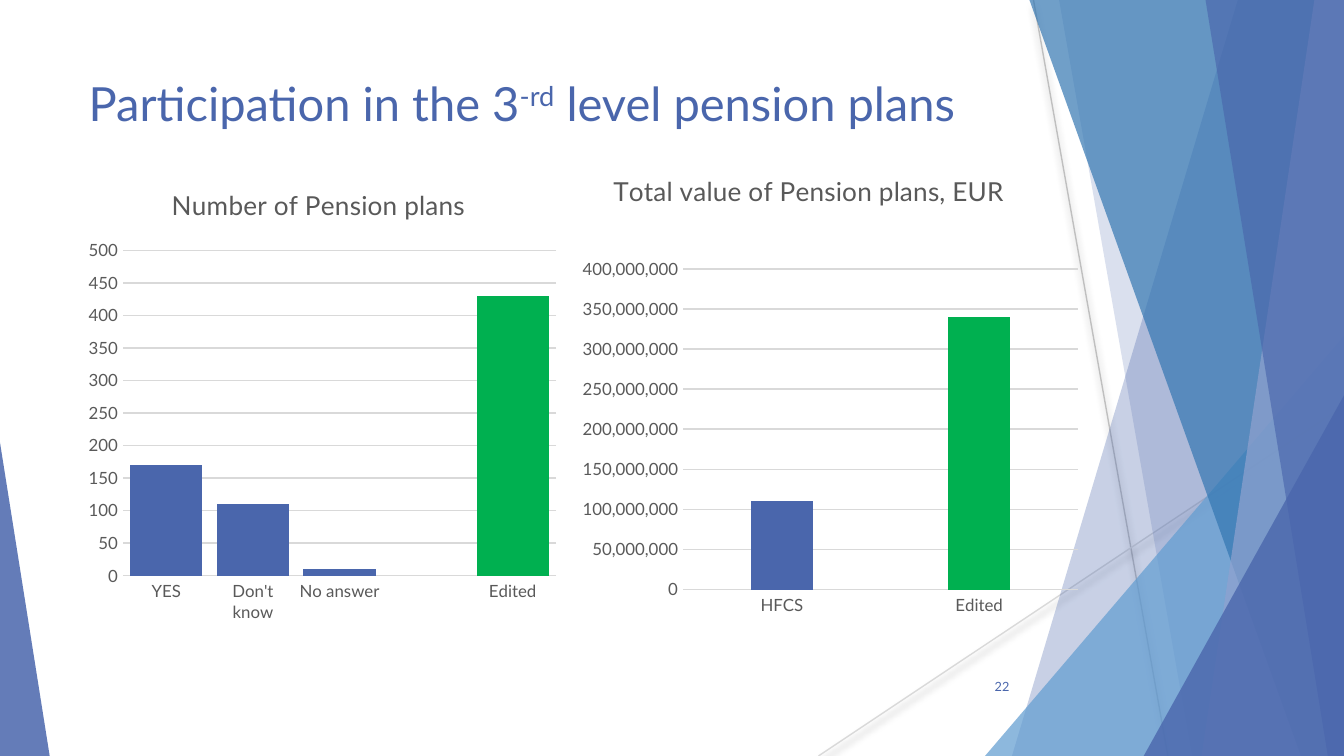
from lxml import etree
from pptx import Presentation
from pptx.chart.data import CategoryChartData
from pptx.dml.color import RGBColor
from pptx.enum.chart import XL_CHART_TYPE, XL_TICK_MARK
from pptx.enum.shapes import MSO_CONNECTOR, MSO_SHAPE
from pptx.enum.text import MSO_ANCHOR, MSO_AUTO_SIZE, PP_ALIGN
from pptx.oxml import parse_xml
from pptx.oxml.ns import nsdecls, qn
from pptx.util import Inches, Pt

COLUMN = XL_CHART_TYPE.COLUMN_CLUSTERED
NO_TICK = XL_TICK_MARK.NONE
STRAIGHT = MSO_CONNECTOR.STRAIGHT
ISOSCELES = MSO_SHAPE.ISOSCELES_TRIANGLE
TOP, MIDDLE = MSO_ANCHOR.TOP, MSO_ANCHOR.MIDDLE
LEFT, RIGHT = PP_ALIGN.LEFT, PP_ALIGN.RIGHT
NO_FIT = MSO_AUTO_SIZE.NONE

WIDTH = Inches(10)
HEIGHT = WIDTH * 9 // 16
TITLE_ONLY = 5
FONT = "Lato"
COLORS = {
    "indigo": "4A66AC", "sky": "629DD1", "blue": "3477B2", "mist": "90A2CF",
    "green": "00B050", "text": "595959", "grid": "D9D9D9", "silver": "BFBFBF",
}

RIBBONS_BACK = [(92.1, 75.3, "indigo", 30), (78.8, 88.7, "indigo", 20)]
RIBBONS_FRONT = [(76.6, 96.8, "blue", 70), (97.8, 89.4, "mist", 70), (89.7, 98.8, "indigo", 65)]
CHARTS = [
    {"box": (5.9, 22.04, 36.2, 61.51), "title": "Number of Pension plans",
     "title_at": (0.18, 0.03), "plot": (0.09, 0.18, 0.89, 0.7),
     "categories": ["YES", "Don't know", "No answer", "", "Edited"],
     "values": [170, 110, 10, None, 430], "scale": (500, 50), "gap": 20, "overlap": 2},
    {"box": (42.1, 22.04, 39.7, 61.51), "title": "Total value of Pension plans, EUR",
     "title_at": (0.08, 0), "plot": (0.22, 0.22, 0.74, 0.69),
     "categories": ["HFCS", "Edited"],
     "values": [110000000, 340000000], "scale": (400000000, 50000000),
     "gap": 219, "overlap": -27},
]


def color(name):
    """Return the palette colour of this name."""
    return RGBColor.from_string(COLORS[name])


def across(share):
    """Return a length from a percentage of the slide width."""
    return int(WIDTH * share / 100)


def down(share):
    """Return a length from a percentage of the slide height."""
    return int(HEIGHT * share / 100)


def place(box):
    """Turn a box of percentages into slide lengths."""
    left, top, width, height = box
    return across(left), down(top), across(width), down(height)


def set_all(target, values):
    """Set every attribute named in a dict."""
    for name, value in values.items():
        setattr(target, name, value)


def format_font(font, size, name):
    """Give a font the slide typeface, a size and a colour."""
    set_all(font, {"name": FONT, "size": Pt(size), "bold": False})
    font.color.rgb = color(name)


def paint(shape, name, opacity):
    """Fill a shape with a translucent colour and no outline."""
    shape.shadow.inherit = False
    shape.fill.solid()
    shape.fill.fore_color.rgb = color(name)
    shape.line.fill.background()
    fill = shape._element.spPr.find(qn("a:solidFill"))
    etree.SubElement(fill[0], qn("a:alpha"), val=str(opacity * 1000))


def add_ray(slide, start, end, name):
    """Draw a thin line with a soft shadow."""
    line = slide.shapes.add_connector(
        STRAIGHT, across(start[0]), down(start[1]), across(end[0]), down(end[1]))
    line.line.width = Pt(0.75)
    line.line.color.rgb = color(name)
    line._element.spPr.append(parse_xml(
        f'<a:effectLst {nsdecls("a")}><a:outerShdw blurRad="{Pt(4)}" dist="{Pt(3)}" '
        'dir="5400000" rotWithShape="0"><a:srgbClr val="000000"><a:alpha val="35000"/>'
        '</a:srgbClr></a:outerShdw></a:effectLst>'))


def add_ribbon(slide, top_x, bottom_x, name, opacity):
    """Draw a band from a slanted left edge to the right slide edge."""
    builder = slide.shapes.build_freeform(across(top_x), 0)
    builder.add_line_segments([(WIDTH, 0), (WIDTH, HEIGHT), (across(bottom_x), HEIGHT)])
    paint(builder.convert_to_shape(), name, opacity)


def add_corner(slide, box, peak, name, opacity):
    """Draw a corner triangle whose peak lies at a share of its width."""
    shape = slide.shapes.add_shape(ISOSCELES, *place(box))
    shape.adjustments[0] = peak
    paint(shape, name, opacity)


def add_backdrop(slide):
    """Draw the faceted decoration on both slide edges."""
    add_ray(slide, (76.9, 0), (86.9, 100), "silver")
    add_ray(slide, (100, 53.69), (60.9, 100), "grid")
    for ribbon in RIBBONS_BACK:
        add_ribbon(slide, *ribbon)
    add_corner(slide, (73.3, 44.44, 26.7, 55.56), 1, "sky", 72)
    for ribbon in RIBBONS_FRONT:
        add_ribbon(slide, *ribbon)
    add_corner(slide, (85.1, 52.3, 14.9, 47.7), 1, "indigo", 80)
    add_corner(slide, (0, 58.5, 3.7, 41.5), 0, "indigo", 85)


def fill_text(shape, box, parts, size, anchor, alignment):
    """Place a text shape and write its runs with their baseline shifts."""
    left, top, width, height = place(box)
    set_all(shape, {"left": left, "top": top, "width": width, "height": height})
    set_all(shape.text_frame, {
        "word_wrap": True, "auto_size": NO_FIT, "vertical_anchor": anchor})
    paragraph = shape.text_frame.paragraphs[0]
    paragraph.alignment = alignment
    for text, baseline in parts:
        run = paragraph.add_run()
        run.text = text
        format_font(run.font, size, "indigo")
        if baseline:
            run._r.get_or_add_rPr().set("baseline", str(baseline * 1000))


def manual_layout(**values):
    """Build a chart layout element from its settings in order."""
    items = "".join(f'<c:{name} val="{value}"/>' for name, value in values.items())
    return parse_xml(f'<c:layout {nsdecls("c")}><c:manualLayout>{items}'
                     '</c:manualLayout></c:layout>')


def set_layouts(chart, title_at, plot):
    """Fix the title corner and the inner plot box as chart shares."""
    title = chart._chartSpace.chart.find(qn("c:title"))
    area = chart._chartSpace.chart.plotArea
    for parent in (title, area):
        for layout in parent.findall(qn("c:layout")):
            parent.remove(layout)
    title.find(qn("c:tx")).addnext(manual_layout(
        xMode="edge", yMode="edge", x=title_at[0], y=title_at[1]))
    area.insert(0, manual_layout(
        layoutTarget="inner", xMode="edge", yMode="edge",
        x=plot[0], y=plot[1], w=plot[2], h=plot[3]))


def format_axes(chart, maximum, step):
    """Style both axes and set the value scale."""
    for axis in (chart.category_axis, chart.value_axis):
        set_all(axis, {"major_tick_mark": NO_TICK, "minor_tick_mark": NO_TICK})
        format_font(axis.tick_labels.font, 9, "text")
    values = chart.value_axis
    set_all(values, {"minimum_scale": 0, "maximum_scale": maximum, "major_unit": step})
    set_all(values.tick_labels, {"number_format": "#,##0", "number_format_is_linked": False})
    values.format.line.fill.background()
    for line in (chart.category_axis.format.line, values.major_gridlines.format.line):
        line.width = Pt(0.75)
        line.color.rgb = color("grid")


def add_column_chart(slide, settings):
    """Add a column chart whose last column is highlighted."""
    data = CategoryChartData()
    data.categories = settings["categories"]
    data.add_series("Series 1", settings["values"])
    chart = slide.shapes.add_chart(COLUMN, *place(settings["box"]), data).chart
    format_font(chart.font, 10, "text")
    chart.has_legend = False
    chart.chart_title.text_frame.text = settings["title"]
    format_font(chart.chart_title.text_frame.paragraphs[0].runs[0].font, 14, "text")
    format_axes(chart, *settings["scale"])
    plot = chart.plots[0]
    set_all(plot, {"gap_width": settings["gap"], "overlap": settings["overlap"],
                   "vary_by_categories": False})
    series = plot.series[0]
    last = series.points[len(settings["values"]) - 1]
    for target, name in ((series, "indigo"), (last, "green")):
        target.format.fill.solid()
        target.format.fill.fore_color.rgb = color(name)
    set_layouts(chart, settings["title_at"], settings["plot"])


def main():
    """Build the pension plan slide and save it."""
    presentation = Presentation()
    set_all(presentation, {"slide_width": WIDTH, "slide_height": HEIGHT})
    slide = presentation.slides.add_slide(presentation.slide_layouts[TITLE_ONLY])
    add_backdrop(slide)
    heading = [("Participation in the 3", 0), ("-rd", 30), (" level pension plans", 0)]
    fill_text(slide.shapes.title, (5.6, 8.9, 76.3, 11.73), heading, 25.2, TOP, LEFT)
    number_box = (70.5, 88.2, 5.6, 5.33)
    number = slide.shapes.add_textbox(*place(number_box))
    fill_text(number, number_box, [("22", 0)], 6.8, MIDDLE, RIGHT)
    for settings in CHARTS:
        add_column_chart(slide, settings)
    presentation.save("out.pptx")


if __name__ == "__main__":
    main()
